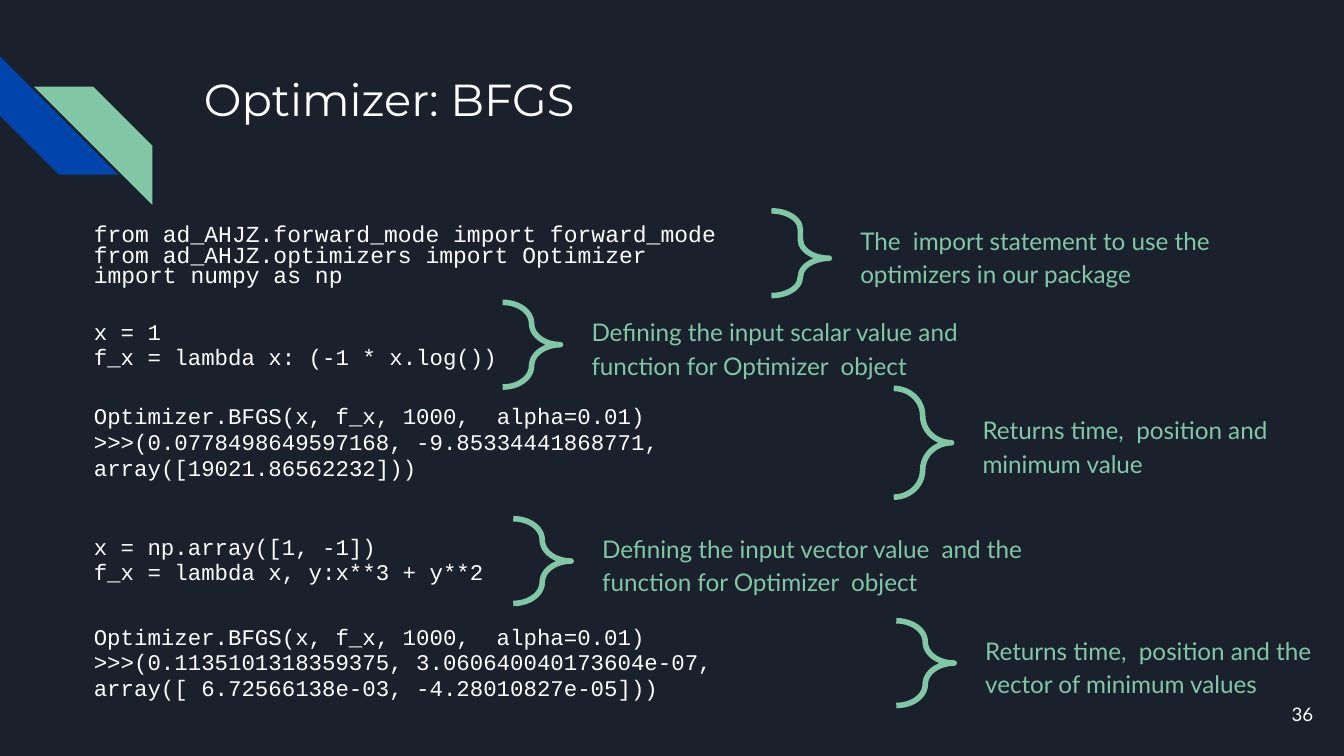
from dataclasses import dataclass

import pptx
import pptx.dml.color
import pptx.enum.shapes
import pptx.enum.text
import pptx.util

Pt = pptx.util.Pt
SHAPE = pptx.enum.shapes.MSO_SHAPE
ALIGN = pptx.enum.text.PP_ALIGN
ANCHOR = pptx.enum.text.MSO_ANCHOR
FIT = pptx.enum.text.MSO_AUTO_SIZE


def rgb(value):
    return pptx.dml.color.RGBColor.from_string(value)


@dataclass(frozen=True)
class Theme:
    background: str = "1B212C"
    text: str = "FFFFFF"
    green: str = "82C7A5"
    blue: str = "0145AC"
    title_font: str = "Montserrat"
    body_font: str = "Lato"
    code_font: str = "Courier New"
    title_size: float = 24
    import_size: float = 12.3
    code_size: float = 12
    note_size: float = 13
    number_size: float = 10
    inset: float = 7.2
    brace_line: float = 3


def write(tf, text, *, font, size, color, spacing=None, align=None):
    """Fill a text frame, one paragraph per line of text."""
    for i, line in enumerate(text.split("\n")):
        p = tf.paragraphs[0] if i == 0 else tf.add_paragraph()
        if spacing:
            p.line_spacing = spacing
        if align is not None:
            p.alignment = align
        r = p.add_run()
        r.text = line
        r.font.name = font
        r.font.size = Pt(size)
        r.font.color.rgb = rgb(color)


class Deck:
    BRACE_WIDTH = 31
    NOTE_OFFSET = 40.5
    NOTE_HEIGHT = 48.2
    CODE_LEFT = 43.2

    def __init__(self, prs, theme):
        self.theme = theme
        self.s = prs.slides.add_slide(prs.slide_layouts[6])
        fill = self.s.background.fill
        fill.solid()
        fill.fore_color.rgb = rgb(theme.background)

    def shape(self, kind, left, top, width, height):
        sp = self.s.shapes.add_shape(kind, Pt(left), Pt(top), Pt(width), Pt(height))
        sp.shadow.inherit = False
        return sp

    def stripe(self, left, top, color, rotation=0, flip=False):
        sp = self.shape(SHAPE.DIAGONAL_STRIPE, left, top, 63.4, 63.4)
        sp.adjustments[0] = 0.5
        sp.rotation = rotation
        if flip:
            sp.element.spPr.xfrm.set("flipH", "1")
        sp.fill.solid()
        sp.fill.fore_color.rgb = rgb(color)
        sp.line.fill.background()

    def text(self, text, left, top, width, height, anchor=ANCHOR.TOP,
             fit=FIT.NONE, **fmt):
        sp = self.s.shapes.add_textbox(Pt(left), Pt(top), Pt(width), Pt(height))
        tf = sp.text_frame
        tf.word_wrap = True
        tf.auto_size = fit
        tf.vertical_anchor = anchor
        tf.margin_left = tf.margin_right = Pt(self.theme.inset)
        tf.margin_top = tf.margin_bottom = Pt(self.theme.inset)
        write(tf, text, **fmt)

    def code(self, text, top, width, height, size=None, spacing=0.95,
             fit=FIT.SHAPE_TO_FIT_TEXT):
        t = self.theme
        self.text(text, self.CODE_LEFT, top, width, height, fit=fit,
                  font=t.code_font, size=size or t.code_size, color=t.text,
                  spacing=spacing)

    def brace_note(self, text, left, middle, width, height=45.4, tip=0.5):
        """Draw a brace and, centred on it, the note to its right."""
        t = self.theme
        sp = self.shape(SHAPE.RIGHT_BRACE, left, middle - height / 2,
                        self.BRACE_WIDTH, height)
        sp.adjustments[0] = 0.5
        sp.adjustments[1] = tip
        sp.fill.background()
        sp.line.color.rgb = rgb(t.green)
        sp.line.width = Pt(t.brace_line)
        self.text(text, left + self.NOTE_OFFSET, middle - self.NOTE_HEIGHT / 2,
                  width, self.NOTE_HEIGHT, fit=FIT.SHAPE_TO_FIT_TEXT,
                  font=t.body_font, size=t.note_size, color=t.green, spacing=1.15)


def main():
    prs = pptx.Presentation()
    prs.slide_width, prs.slide_height = Pt(720), Pt(405)
    t = Theme()
    deck = Deck(prs, t)

    deck.stripe(0, 30.2, t.blue, rotation=270)
    deck.stripe(18.2, 46.4, t.green, flip=True)
    deck.text("Optimizer: BFGS", 102.2, 31, 554.4, 72, font=t.title_font,
              size=t.title_size, color=t.text)
    deck.text("36", 667.4, 367.2, 43.2, 31, anchor=ANCHOR.MIDDLE,
              font=t.body_font, size=t.number_size, color=t.text,
              align=ALIGN.RIGHT)

    deck.code("from ad_AHJZ.forward_mode import forward_mode\n"
              "from ad_AHJZ.optimizers import Optimizer\n"
              "import numpy as np", 113.8, 369.4, 43.2,
              size=t.import_size, spacing=0.75, fit=FIT.NONE)
    deck.brace_note("The  import statement to use the\noptimizers in our package",
                    413.3, 135.7, 220.3, tip=0.56)

    deck.code("x = 1\nf_x = lambda x: (-1 * x.log())", 164.2, 231.8, 42.5)
    deck.brace_note("Defining the input scalar value and function for "
                    "Optimizer  object", 269.3, 184.7, 251.3)

    call = "Optimizer.BFGS(x, f_x, 1000,  alpha=0.01)\n"
    deck.code(call + ">>>(0.0778498649597168, -9.85334441868771, "
              "array([19021.86562232]))", 209.5, 435.6, 56.2)
    deck.brace_note("Returns time,  position and minimum value",
                    478.8, 237.2, 213.8, height=58.3)

    deck.code("x = np.array([1, -1])\nf_x = lambda x, y:x**3 + y**2",
              279.4, 225.4, 42.5)
    deck.brace_note("Defining the input vector value  and the function for "
                    "Optimizer  object", 275, 300.6, 261.4)

    deck.code(call + ">>>(0.1135101318359375, 3.060640040173604e-07, "
              "array([ 6.72566138e-03, -4.28010827e-05]))", 327.6, 446.4, 56.2)
    deck.brace_note("Returns time,  position and the vector of minimum values",
                    480.2, 355.3, 190.8)

    prs.save("out.pptx")


if __name__ == "__main__":
    main()
